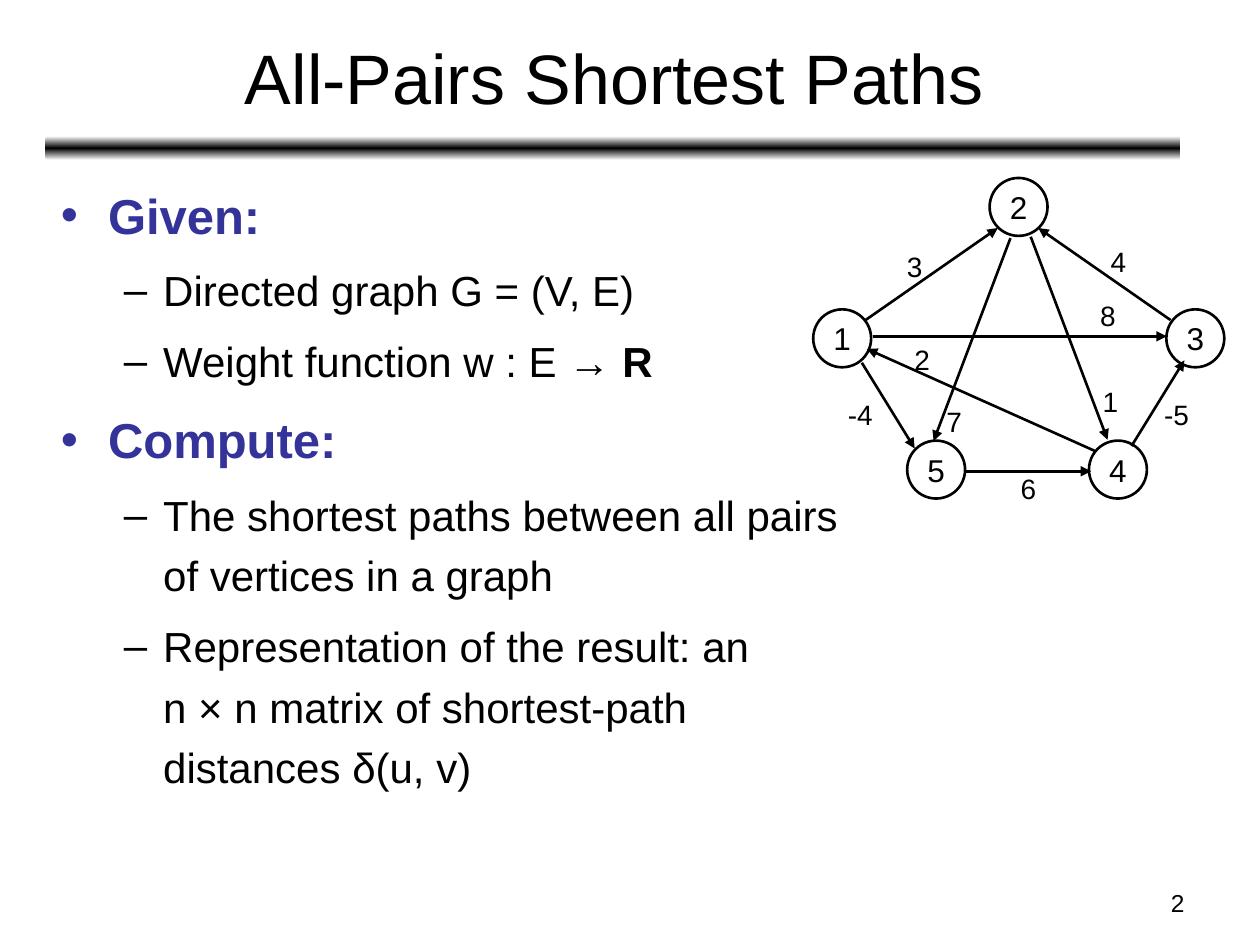
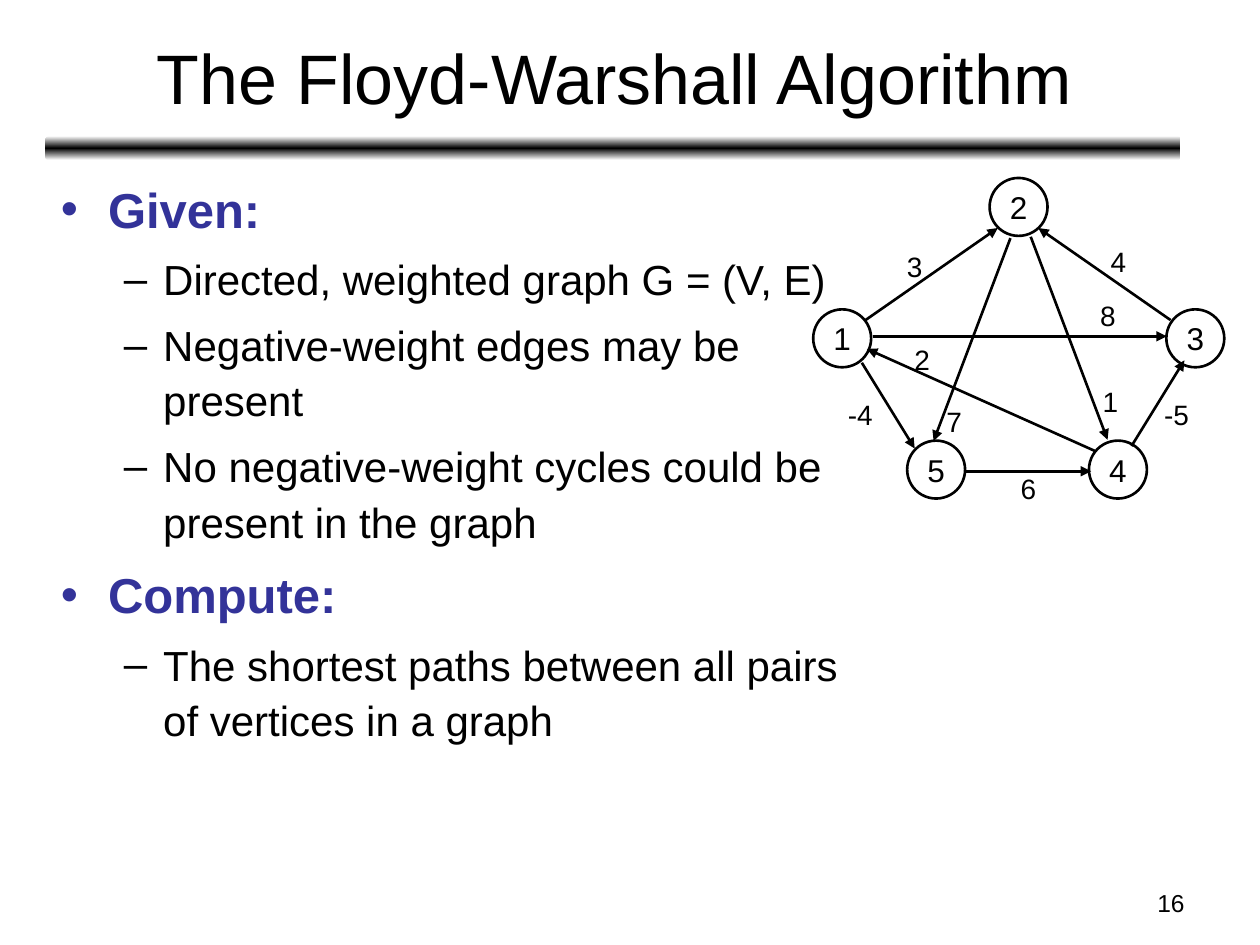
from copy import deepcopy
from dataclasses import dataclass

from pptx import Presentation
from pptx.dml.color import RGBColor
from pptx.enum import shapes, text
from pptx.oxml.ns import qn
from pptx.oxml.xmlchemy import OxmlElement
from pptx.util import Pt


@dataclass(frozen=True)
class Theme:
    font: str = "Arial"
    ink: RGBColor = RGBColor(0, 0, 0)
    paper: RGBColor = RGBColor(255, 255, 255)
    accent: RGBColor = RGBColor(0x33, 0x33, 0x99)
    title_size: int = 40
    heading_size: int = 28
    item_size: int = 24
    node_size: int = 18
    weight_size: int = 16
    number_size: int = 14
    line_width: float = 1.5


THEME = Theme()

# Boxes are left, top, width, height in points.
BAND_BOX = (26, 77.8, 648.7, 13.7)
TITLE_BOX = (26.9, 7.9, 648, 71.3)
BODY_BOX = (27.7, 95.5, 460.8, 399.6)
NUMBER_BOX = (516.2, 504, 167.8, 25.2)
GRAPH_BOX = (464.4, 101.5, 235.4, 183.6)

# Graph positions are relative to the graph box.
NODE_DIAMETER = 33.1
NODES = {"1": (0.3, 75.3), "2": (101.1, 0.2), "3": (202.1, 75.3),
         "5": (54, 150.3), "4": (157.9, 150.3)}
# Weight, its label position, edge start, edge end.
EDGES = [
    ("3", (46.8, 37.4), (30.2, 81.4), (105.8, 28.8)),
    ("-4", (13, 122.4), (28.1, 105.8), (58.3, 154.8)),
    ("6", (111.8, 164.2), (87.8, 167.8), (159.1, 167.8)),
    ("1", (158.6, 114.5), (124.6, 33.8), (168.5, 149.8)),
    ("2", (51, 90.7), (161.3, 156.2), (31, 97.9)),
    ("4", (163.2, 34.9), (204.5, 81.4), (128.9, 28.8)),
    ("7", (69.3, 126.3), (113, 34.6), (69.1, 150.5)),
    ("-5", (193.7, 122.4), (182.2, 153.4), (212.4, 104.4)),
    ("8", (157.2, 65.5), (34.6, 90.7), (202.3, 90.7)),
]

# A heading with its items; an item is a list of lines, a line a list of (words, bold).
SHORTEST_PATHS = [[("The shortest paths between all pairs of vertices in a graph", False)]]
SLIDES = [
    ("All-Pairs Shortest Paths", "2", 1.2, [
        ("Given:", [
            [[("Directed graph G = (V, E)", False)]],
            [[("Weight function w : E → ", False), ("R", True)]],
        ]),
        ("Compute:", [
            SHORTEST_PATHS,
            [[("Representation of the result: an", False)],
             [("n × n matrix of shortest-path distances δ(u, v)", False)]],
        ]),
    ]),
    ("The Floyd-Warshall Algorithm", "16", 1.1, [
        ("Given:", [
            [[("Directed, weighted graph G = (V, E)", False)]],
            [[("Negative-weight edges may be present", False)]],
            [[("No negative-weight cycles could be present in the graph", False)]],
        ]),
        ("Compute:", [SHORTEST_PATHS]),
    ]),
]


def points(values):
    return [Pt(value) for value in values]


def add_run(paragraph, words, size, color=THEME.ink, bold=False):
    run = paragraph.add_run()
    run.text = words
    run.font.name = THEME.font
    run.font.size = Pt(size)
    run.font.bold = bold
    run.font.color.rgb = color


def add_text_box(container, box):
    frame = container.shapes.add_textbox(*points(box)).text_frame
    frame.word_wrap = True
    return frame


def add_band(slide, box):
    """Draw the bar under the title, fading from black to white at both edges."""
    band = slide.shapes.add_shape(shapes.MSO_SHAPE.ROUNDED_RECTANGLE, *points(box))
    band.shadow.inherit = False
    band.line.fill.background()
    band.fill.gradient()
    band.fill.gradient_angle = 90
    stop_list = next(band.element.iter(qn("a:gsLst")))
    stop_list.insert(1, deepcopy(stop_list[0]))
    colors = (THEME.paper, THEME.ink, THEME.paper)
    for stop, position, color in zip(band.fill.gradient_stops, (0, 0.5, 1), colors):
        stop.position = position
        stop.color.rgb = color


def set_title(slide, title, box):
    placeholder = slide.shapes.title
    placeholder.left, placeholder.top, placeholder.width, placeholder.height = points(box)
    frame = placeholder.text_frame
    frame.auto_size = text.MSO_AUTO_SIZE.NONE
    frame.vertical_anchor = text.MSO_ANCHOR.MIDDLE
    paragraph = frame.paragraphs[0]
    paragraph.alignment = text.PP_ALIGN.CENTER
    add_run(paragraph, title, THEME.title_size)


def set_bullet(paragraph, character, color, margin, hanging):
    properties = paragraph._p.get_or_add_pPr()
    properties.set("marL", str(Pt(margin)))
    properties.set("indent", str(-Pt(hanging)))
    bullet_color = OxmlElement("a:buClr")
    rgb = OxmlElement("a:srgbClr")
    rgb.set("val", str(color))
    bullet_color.append(rgb)
    bullet_font = OxmlElement("a:buFont")
    bullet_font.set("typeface", THEME.font)
    bullet = OxmlElement("a:buChar")
    bullet.set("char", character)
    properties.extend([bullet_color, bullet_font, bullet])


def add_outline(slide, sections, line_spacing, box):
    """Write bulleted headings, each with dashed items below."""
    frame = add_text_box(slide, box)

    def next_paragraph(space_before):
        first = frame.paragraphs[0]
        paragraph = frame.add_paragraph() if first.runs else first
        paragraph.line_spacing = line_spacing
        paragraph.space_before = Pt(space_before)
        return paragraph

    for heading, items in sections:
        paragraph = next_paragraph(7)
        set_bullet(paragraph, "•", THEME.accent, 27, 27)
        add_run(paragraph, heading, THEME.heading_size, THEME.accent, bold=True)
        for lines in items:
            paragraph = next_paragraph(6)
            paragraph.level = 1
            set_bullet(paragraph, "–", THEME.ink, 58.5, 22.5)
            for index, line in enumerate(lines):
                if index:
                    paragraph.add_line_break()
                for words, bold in line:
                    add_run(paragraph, words, THEME.item_size, bold=bold)


def add_node(group, label, left, top):
    node = group.shapes.add_shape(
        shapes.MSO_SHAPE.OVAL, *points((left, top, NODE_DIAMETER, NODE_DIAMETER)))
    node.shadow.inherit = False
    node.fill.background()
    node.line.color.rgb = THEME.ink
    node.line.width = Pt(THEME.line_width)
    frame = node.text_frame
    frame.word_wrap = False
    frame.vertical_anchor = text.MSO_ANCHOR.MIDDLE
    frame.paragraphs[0].alignment = text.PP_ALIGN.CENTER
    add_run(frame.paragraphs[0], label, THEME.node_size)


def add_arrow(group, start, end):
    arrow = group.shapes.add_connector(
        shapes.MSO_CONNECTOR.STRAIGHT, *points((*start, *end)))
    arrow.line.color.rgb = THEME.ink
    arrow.line.width = Pt(THEME.line_width)
    head = OxmlElement("a:tailEnd")
    head.set("type", "triangle")
    arrow.line._get_or_add_ln().append(head)
    arrow.element.spPr.append(OxmlElement("a:effectLst"))


def add_weight(group, weight, left, top):
    width = 23.3 if len(weight) == 1 else 30
    frame = add_text_box(group, (left, top, width, 26.6))
    frame.word_wrap = False
    frame.auto_size = text.MSO_AUTO_SIZE.SHAPE_TO_FIT_TEXT
    add_run(frame.paragraphs[0], weight, THEME.weight_size)


def add_graph(slide, box):
    left, top = box[:2]

    def place(position):
        return left + position[0], top + position[1]

    group = slide.shapes.add_group_shape()
    for label, position in NODES.items():
        add_node(group, label, *place(position))
    for weight, label_position, start, end in EDGES:
        add_arrow(group, place(start), place(end))
        add_weight(group, weight, *place(label_position))


def add_slide_number(slide, number, box):
    paragraph = add_text_box(slide, box).paragraphs[0]
    paragraph.alignment = text.PP_ALIGN.RIGHT
    add_run(paragraph, number, THEME.number_size)


def main():
    presentation = Presentation()
    presentation.slide_width, presentation.slide_height = Pt(720), Pt(540)
    title_only = presentation.slide_layouts.get_by_name("Title Only")
    for title, number, line_spacing, sections in SLIDES:
        slide = presentation.slides.add_slide(title_only)
        add_band(slide, BAND_BOX)
        set_title(slide, title, TITLE_BOX)
        add_outline(slide, sections, line_spacing, BODY_BOX)
        add_graph(slide, GRAPH_BOX)
        add_slide_number(slide, number, NUMBER_BOX)
    presentation.save("out.pptx")


if __name__ == "__main__":
    main()
